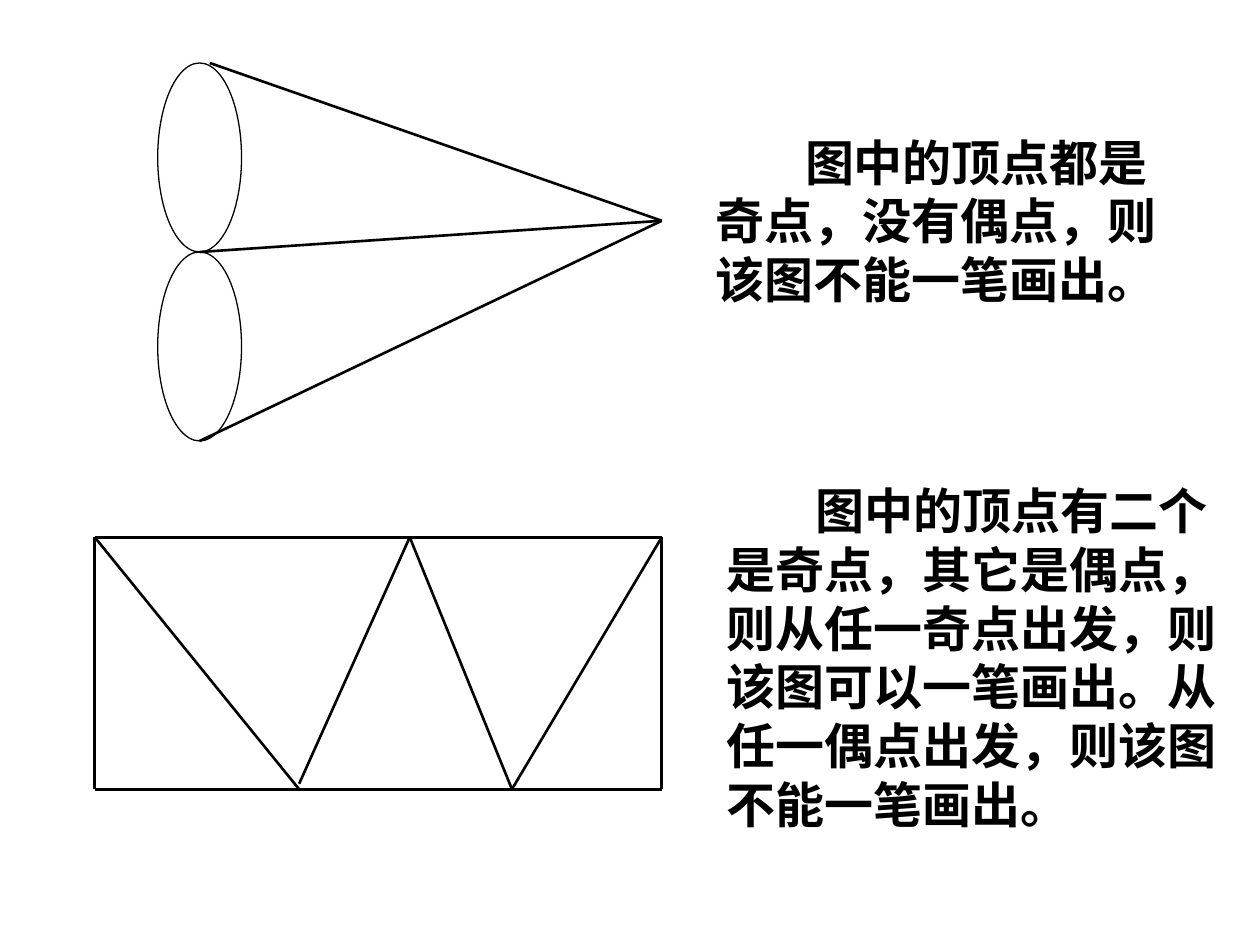
from itertools import pairwise

from lxml import etree
from pptx import Presentation
from pptx import util as u
from pptx.dml.color import RGBColor
from pptx.enum import shapes, text
from pptx.oxml import ns

BLACK = RGBColor(0, 0, 0)
FONT = {"name": "Times New Roman", "size": u.Pt(28), "bold": True}
FRAME = {"word_wrap": True, "auto_size": text.MSO_AUTO_SIZE.NONE}
FIRST_LINE_INDENT = u.Cm(1.8)


def apply(target, values):
    for name, value in values.items():
        setattr(target, name, value)


class Sketch:
    def __init__(self, page):
        self.page = page

    def stroke(self, item, width):
        item.line.color.rgb = BLACK
        item.line.width = u.Pt(width)

    def line(self, start, end):
        ends = [u.Cm(value) for value in (*start, *end)]
        edge = self.page.shapes.add_connector(shapes.MSO_CONNECTOR.STRAIGHT, *ends)
        self.stroke(edge, 1.5)
        etree.SubElement(edge._element.spPr, ns.qn("a:effectLst"))

    def ellipse(self, *bounds):
        oval = self.page.shapes.add_shape(
            shapes.MSO_SHAPE.OVAL, *[u.Cm(value) for value in bounds]
        )
        oval.shadow.inherit = False
        oval.fill.background()
        self.stroke(oval, 0.75)

    def note(self, wording, *bounds):
        box = self.page.shapes.add_textbox(*[u.Cm(value) for value in bounds])
        apply(box.text_frame, FRAME)
        para = box.text_frame.paragraphs[0]
        para.space_before = u.Pt(17.5)
        para._p.get_or_add_pPr().set("indent", str(FIRST_LINE_INDENT))
        span = para.add_run()
        span.text = wording
        apply(span.font, FONT)
        span.font.color.rgb = BLACK


def main():
    deck = Presentation()
    deck.slide_width, deck.slide_height = u.Cm(25.4), u.Cm(19.05)
    sketch = Sketch(deck.slides.add_slide(deck.slide_layouts[6]))

    left, right, top, bottom = 1.91, 13.34, 10.83, 15.91
    corners = [(left, top), (right, top), (right, bottom), (left, bottom)]
    for start, end in pairwise(corners + corners[:1]):
        sketch.line(start, end)
    peak, valley = (8.26, top), (10.32, bottom)
    sketch.line((left, top), (6.03, bottom))
    sketch.line((6.03, 15.8), peak)
    sketch.line(peak, valley)
    sketch.line(valley, (right, top))

    oval_left, oval_top, oval_width, oval_height = 3.18, 1.27, 1.69, 3.81
    apex = (right, 4.45)
    middle = oval_left + oval_width / 2
    for row, x in enumerate((4.23, middle, middle)):
        sketch.line((x, oval_top + row * oval_height), apex)
    for row in range(2):
        sketch.ellipse(
            oval_left, oval_top + row * oval_height, oval_width, oval_height
        )

    sketch.note(
        "图中的顶点都是奇点，没有偶点，则该图不能一笔画出。",
        14.18, 2.54, 9.96, 3.81,
    )
    sketch.note(
        "图中的顶点有二个是奇点，其它是偶点，则从任一奇点出发，则该图可以一笔画出。"
        "从任一偶点出发，则该图不能一笔画出。",
        14.4, 9.56, 10.45, 7.37,
    )
    deck.save("out.pptx")


if __name__ == "__main__":
    main()
